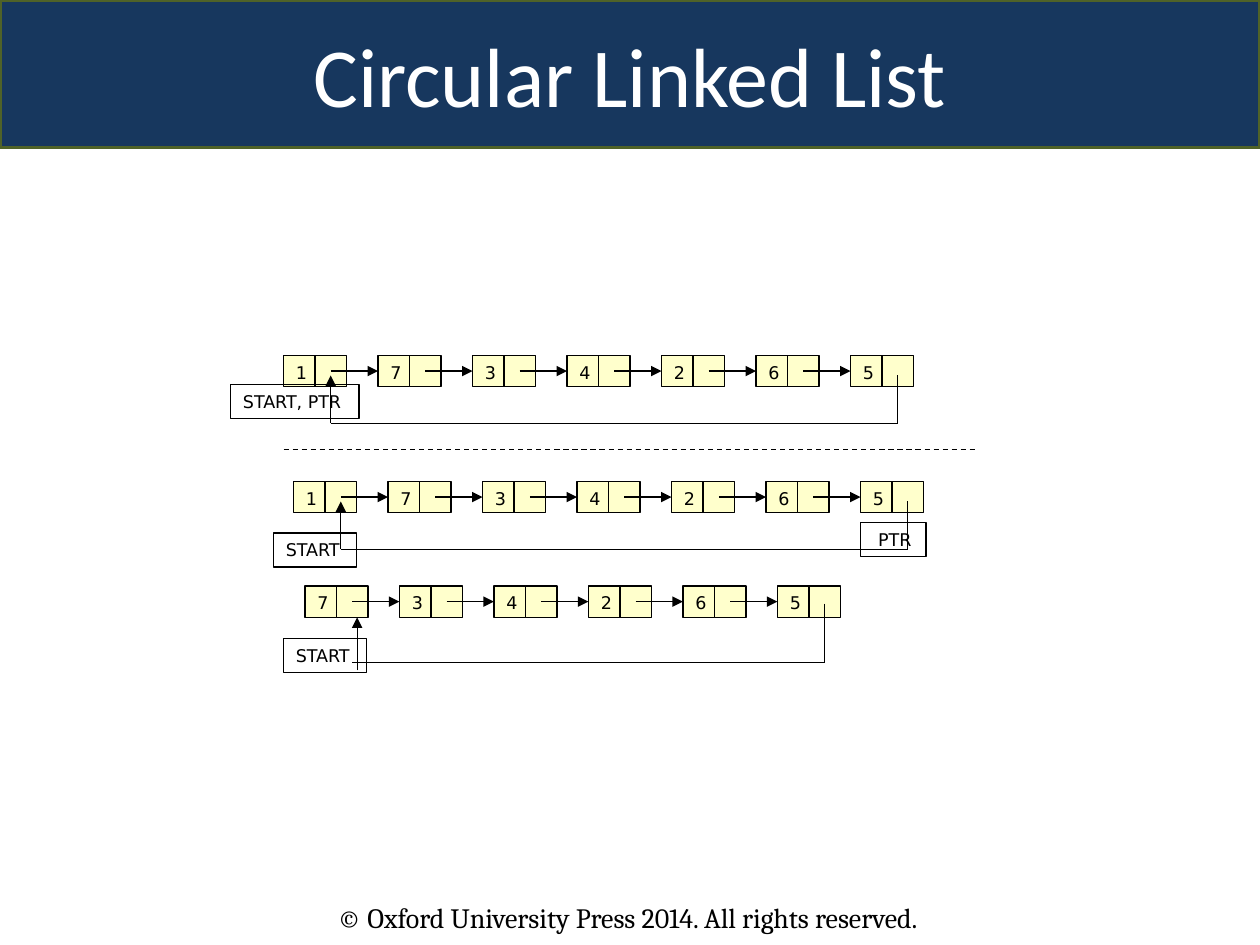
from pptx import Presentation
from pptx.dml.color import RGBColor
from pptx.enum.dml import MSO_LINE_DASH_STYLE as Dash
from pptx.enum.shapes import MSO_CONNECTOR as Connector, MSO_SHAPE as Shape
from pptx.enum.text import MSO_ANCHOR as Anchor, PP_ALIGN as Align
from pptx.oxml.ns import qn
from pptx.util import Inches, Pt
from lxml.etree import SubElement

TITLE = "Circular Linked List"
FOOTER = "© Oxford University Press 2014. All rights reserved."

# rise: x offset from the first pointer's middle, then start and end below the row's top
# labels: text, left, top, width, left inset
LISTS = [
    dict(values="1734265", left=2.25, top=2.82, drop=(0.16, 0.54), rise=(0, 0.54, 0.16),
         labels=[("START, PTR", 1.83, 3.05, 1.02, 0.1)]),
    dict(values="1734265", left=2.33, top=3.82, drop=(0.16, 0.54), rise=(0, 0.54, 0.16),
         labels=[("START", 2.17, 4.23, 0.66, 0.1), ("PTR", 6.83, 4.15, 0.52, 0.14)]),
    dict(values="734265", left=2.42, top=4.65, drop=(0.14, 0.61), rise=(0.04, 0.67, 0.25),
         labels=[("START", 2.25, 5.07, 0.66, 0.1)]),
]
DIVIDER = (2.25, 3.57, 7.75, 3.57)
CELL, PITCH, LABEL_HEIGHT = 0.25, 0.75, 0.27

THEME = dict(
    banner=RGBColor(0x17, 0x37, 0x5E), banner_line=RGBColor(0x4F, 0x62, 0x28),
    white=RGBColor(255, 255, 255), ink=RGBColor(0, 0, 0), node=RGBColor(255, 255, 0xCC),
    title=("Calibri", 48), footer=("Cambria", 16), small=("DejaVu Sans", 10), line=0.75,
)


def write(frame, text, style, color, align=Align.LEFT):
    para = frame.paragraphs[0]
    para.alignment = align
    span = para.add_run()
    span.text = text
    name, size = THEME[style]
    span.font.name, span.font.size = name, Pt(size)
    span.font.color.rgb = THEME[color]


def add_box(shapes, left, top, width, height, fill=None):
    box = shapes.add_shape(Shape.RECTANGLE, *map(Inches, (left, top, width, height)))
    box.shadow.inherit = False
    if fill:
        box.fill.solid()
        box.fill.fore_color.rgb = THEME[fill]
    else:
        box.fill.background()
    box.line.color.rgb = THEME["ink"]
    box.line.width = Pt(THEME["line"])
    return box


def add_line(shapes, x1, y1, x2, y2, arrow=False):
    line = shapes.add_connector(Connector.STRAIGHT, *map(Inches, (x1, y1, x2, y2)))
    line.line.color.rgb = THEME["ink"]
    line.line.width = Pt(THEME["line"])
    if arrow:
        SubElement(line.line._get_or_add_ln(), qn("a:tailEnd"), type="triangle")
    SubElement(line._element.spPr, qn("a:effectLst"))
    return line


def add_nodes(shapes, values, left, top):
    """Draw the two-cell nodes and link each one to the next."""
    data_cells = []
    for index, value in enumerate(values):
        x = left + index * PITCH
        data = add_box(shapes, x, top, CELL, CELL, "node")
        data.text_frame.vertical_anchor = Anchor.TOP
        write(data.text_frame, value, "small", "ink")
        add_box(shapes, x + CELL, top, CELL, CELL, "node")
        data_cells.append(data)
    middle = top + CELL / 2
    for index, target in enumerate(data_cells[1:]):
        x = left + index * PITCH
        link = add_line(shapes, x + 1.5 * CELL, middle, x + PITCH, middle, arrow=True)
        link.end_connect(target, 1)


def add_return_path(shapes, values, left, top, drop, rise):
    """Lead the last pointer back under the row to the first node."""
    first = left + 1.5 * CELL
    last = first + (len(values) - 1) * PITCH
    start, depth = (top + offset for offset in drop)
    shift, low, high = rise
    add_line(shapes, last, start, last, depth)
    add_line(shapes, last, depth, first, depth)
    add_line(shapes, first + shift, top + low, first + shift, top + high, arrow=True)


def add_label(shapes, text, left, top, width, inset):
    box = add_box(shapes, left, top, width, LABEL_HEIGHT)
    frame = box.text_frame
    frame.word_wrap = False
    frame.margin_left = Inches(inset)
    frame.vertical_anchor = Anchor.MIDDLE
    write(frame, text, "small", "ink")


def main():
    deck = Presentation()
    deck.slide_width, deck.slide_height = Inches(10), Inches(7.5)
    page = deck.slides.add_slide(deck.slide_layouts[5])

    title = page.shapes.title
    title.left, title.top, title.width, title.height = map(Inches, (0, 0, 10, 1.17))
    title.fill.solid()
    title.fill.fore_color.rgb = THEME["banner"]
    title.line.color.rgb = THEME["banner_line"]
    title.line.width = Pt(2)
    title.text_frame.vertical_anchor = Anchor.MIDDLE
    write(title.text_frame, TITLE, "title", "white", Align.CENTER)

    footer = page.shapes.add_textbox(*map(Inches, (2.58, 7.1, 5.92, 0.37)))
    footer.text_frame.word_wrap = True
    write(footer.text_frame, FOOTER, "footer", "ink")

    for row in LISTS:
        group = page.shapes.add_group_shape()
        add_nodes(group.shapes, row["values"], row["left"], row["top"])
        add_return_path(group.shapes, row["values"], row["left"], row["top"],
                        row["drop"], row["rise"])
        for label in row["labels"]:
            add_label(page.shapes, *label)

    add_line(page.shapes, *DIVIDER).line.dash_style = Dash.DASH
    deck.save("out.pptx")


if __name__ == "__main__":
    main()
